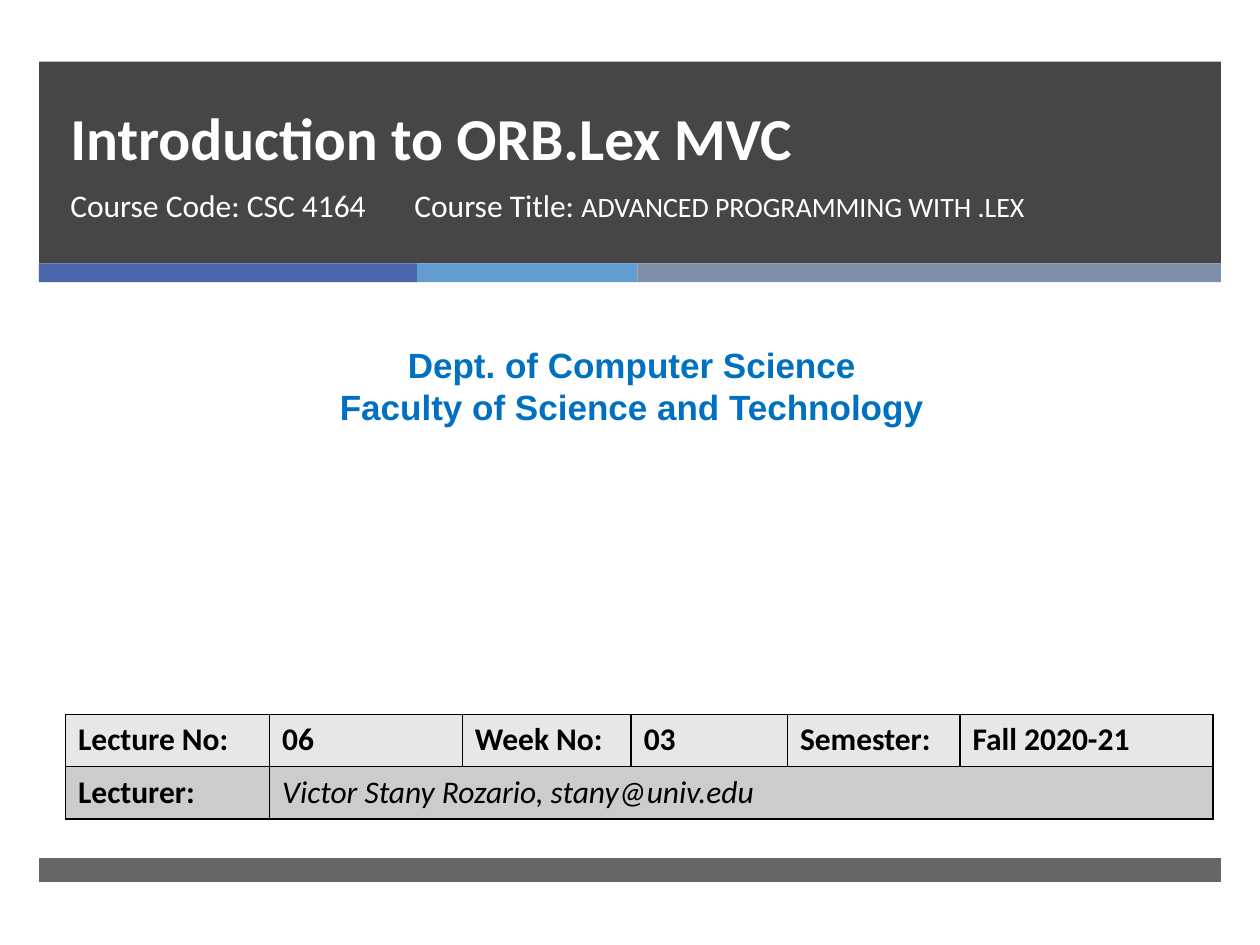
from itertools import accumulate

from lxml.etree import SubElement
from pptx import Presentation
from pptx.dml.color import RGBColor
from pptx.enum.shapes import MSO_SHAPE
from pptx.enum.text import MSO_ANCHOR, PP_ALIGN
from pptx.oxml.ns import qn
from pptx.util import Inches, Pt

WHITE = RGBColor(0xFF, 0xFF, 0xFF)
BLACK = RGBColor(0x00, 0x00, 0x00)
DARK = RGBColor(0x26, 0x26, 0x26)
INDIGO = RGBColor(0x4A, 0x66, 0xAC)
SKY = RGBColor(0x62, 0x9D, 0xD1)
SLATE = RGBColor(0x7F, 0x8F, 0xA9)
BLUE = RGBColor(0x00, 0x70, 0xC0)
LIGHT = RGBColor(0xE7, 0xE7, 0xE7)
GREY = RGBColor(0xCC, 0xCC, 0xCC)

COLS, ROWS = 100, 75  # grid over the whole slide


class Deck:
    font = "Calibri"
    size = 18

    def __init__(self):
        self.prs = Presentation()
        self.prs.slide_width, self.prs.slide_height = Inches(10), Inches(7.5)
        self.slide = self.prs.slides.add_slide(self.prs.slide_layouts[6])

    def x(self, cols):
        return round(self.prs.slide_width * cols / COLS)

    def y(self, rows):
        return round(self.prs.slide_height * rows / ROWS)

    def area(self, left, top, width, height):
        return self.x(left), self.y(top), self.x(width), self.y(height)

    def style(self, run, color, size=None, font=None, bold=False, italic=False):
        run.font.name = font or self.font
        run.font.size = Pt(size or self.size)
        run.font.color.rgb = color
        run.font.bold, run.font.italic = bold, italic

    def bar(self, area, color, alpha=100):
        """Plain rectangle, opaque by the given percentage."""
        shape = self.slide.shapes.add_shape(MSO_SHAPE.RECTANGLE, *self.area(*area))
        shape.shadow.inherit = False
        shape.line.fill.background()
        shape.fill.solid()
        shape.fill.fore_color.rgb = color
        if alpha < 100:
            tint = shape.fill._xPr.find(".//" + qn("a:srgbClr"))
            SubElement(tint, qn("a:alpha"), val=str(alpha * 1000))

    def text(self, area, lines, color, align=PP_ALIGN.LEFT,
             anchor=MSO_ANCHOR.TOP, space=None, **look):
        """Text box; each line is a list of (words, size) runs."""
        frame = self.slide.shapes.add_textbox(*self.area(*area)).text_frame
        frame.word_wrap = True
        frame.vertical_anchor = anchor
        for i, line in enumerate(lines):
            para = frame.add_paragraph() if i else frame.paragraphs[0]
            para.alignment = align
            if space:
                para.line_spacing = Pt(space)
            for words, size in line:
                run = para.add_run()
                run.text = words
                self.style(run, color, size, **look)

    def edge(self, cell):
        """Thin black border on all four sides."""
        props = cell._tc.get_or_add_tcPr()
        for side in ("a:lnL", "a:lnR", "a:lnT", "a:lnB"):
            line = SubElement(props, qn(side), w=str(Pt(1)))
            fill = SubElement(line, qn("a:solidFill"))
            SubElement(fill, qn("a:srgbClr"), val=str(BLACK))

    def table(self, left, top, widths, height, rows, fills):
        """Bordered table; a short row's last cell spans to the right end."""
        area = self.area(left, top, sum(widths), height * len(rows))
        grid = self.slide.shapes.add_table(len(rows), len(widths), *area).table
        for col, width in zip(grid.columns, widths):
            col.width = self.x(width)
        for r, (row, fill) in enumerate(zip(rows, fills)):
            grid.rows[r].height = self.y(height)
            for cell in grid.rows[r].cells:
                self.edge(cell)
                cell.fill.solid()
                cell.fill.fore_color.rgb = fill
            if len(row) < len(widths):
                grid.cell(r, len(row) - 1).merge(grid.cell(r, len(widths) - 1))
            for c, (words, look) in enumerate(row):
                cell = grid.cell(r, c)
                cell.text_frame.text = words
                self.style(cell.text_frame.paragraphs[0].runs[0], BLACK, **look)


def main():
    deck = Deck()
    left, full = 3.1, 93.8

    # Header band, colour strip and footer band
    deck.bar((left, 4.9, full, 16), DARK, 85)
    parts = (30, 17.5, 46.3)
    starts = accumulate(parts, initial=left)
    for start, width, color in zip(starts, parts, (INDIGO, SKY, SLATE)):
        deck.bar((start, 20.9, width, 1.5), color)
    deck.bar((left, 68.1, full, 1.9), DARK, 70)

    # Title and course lines
    deck.text((4.6, 4.9, 83.8, 9.3), [[("Introduction to ORB.Lex MVC", 34)]],
              WHITE, anchor=MSO_ANCHOR.BOTTOM, space=46, bold=True)
    deck.text((4.6, 14.3, 31.1, 7.7), [[("Course Code: CSC 4164", 18)]], WHITE)
    deck.text((31.9, 14.3, 55.5, 7.8),
              [[("Course Title: ", 18), ("ADVANCED PROGRAMMING WITH .LEX", 16)]],
              WHITE)

    # Department
    deck.text((0.8, 26.8, 98.7, 7.7),
              [[("Dept. of Computer Science", 20)],
               [("Faculty of Science and Technology", 20)]],
              BLUE, align=PP_ALIGN.CENTER, font="Arial", bold=True)

    # Lecture details
    bold, slant = {"bold": True}, {"italic": True}
    facts = ("Lecture No:", "06", "Week No:", "03", "Semester:", "Fall 2020-21")
    deck.table(5.2, 56.7, (16.2, 15.3, 13.4, 12.4, 13.7, 20.1), 4.15,
               [[(fact, bold) for fact in facts],
                [("Lecturer:", bold),
                 ("Victor Stany Rozario, stany@univ.edu", slant)]],
               (LIGHT, GREY))

    deck.prs.save("out.pptx")


if __name__ == "__main__":
    main()
